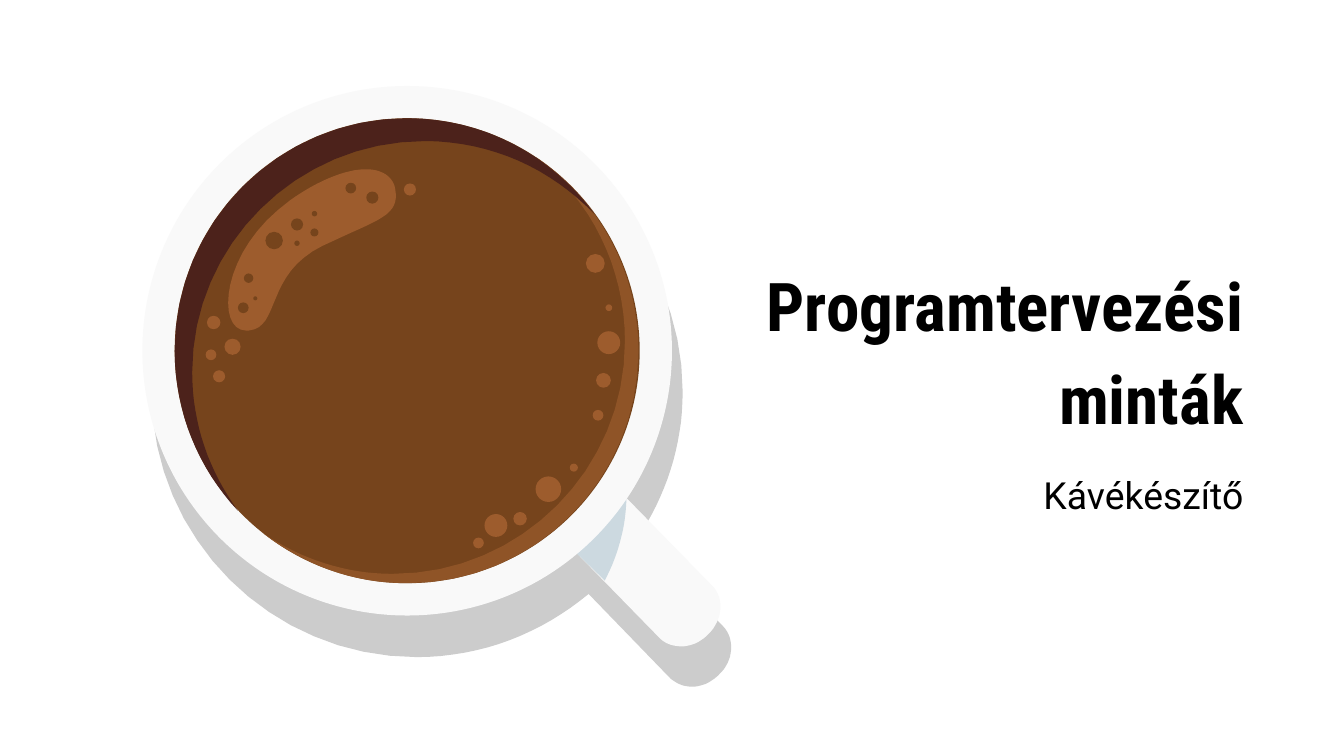
from pptx import Presentation
from pptx.dml.color import RGBColor
from pptx.enum.shapes import MSO_SHAPE
from pptx.enum.text import PP_ALIGN
from pptx.util import Inches, Pt

SHADE, CHINA, BLUE = "CCCCCC", "F9F9F9", "CCD9E0"
COFFEE, RIM, DARK, FOAM = "76441C", "8F5427", "4C221B", "9D5C2D"
STEPS = 16    # straight pieces per curve
UNITS = 1000  # outline units per inch

# Outlines: a start point, then lines (x, y) and Bezier curves (six numbers)
SHADOW = [(3.1, 0.95), (2.02, 0.95, 1.13, 1.83, 1.13, 2.92),
          (1.13, 4.01, 2.02, 4.89, 3.1, 4.89), (3.59, 4.89, 4.03, 4.71, 4.38, 4.42),
          (4.99, 5.05), (5.04, 5.09, 5.09, 5.11, 5.15, 5.11),
          (5.22, 5.11, 5.29, 5.08, 5.35, 5.02), (5.46, 4.92, 5.47, 4.75, 5.38, 4.66),
          (4.74, 4.01), (4.95, 3.7, 5.08, 3.32, 5.08, 2.92),
          (5.08, 1.83, 4.19, 0.95, 3.1, 0.95)]
HANDLE = [(4.31, 3.45), (4.24, 3.45, 4.17, 3.48, 4.11, 3.54),
          (4, 3.65, 3.99, 3.81, 4.08, 3.9), (4.91, 4.75),
          (4.95, 4.79, 5.01, 4.81, 5.07, 4.81), (5.14, 4.81, 5.21, 4.78, 5.27, 4.72),
          (5.38, 4.61, 5.39, 4.45, 5.3, 4.36), (4.47, 3.51),
          (4.43, 3.47, 4.37, 3.45, 4.31, 3.45)]
JOINT = [(4.38, 3.51), (4.31, 3.51, 4.23, 3.54, 4.17, 3.6),
         (4.06, 3.71, 4.05, 3.87, 4.14, 3.97), (4.5, 4.32),
         (4.67, 4, 4.66, 3.71, 4.66, 3.71), (4.4, 3.51),
         (4.39, 3.51, 4.38, 3.51, 4.38, 3.51)]
LIGHT = [(3.99, 1.17), (4.39, 1.49, 4.65, 1.98, 4.65, 2.54),
         (4.65, 3.49, 3.88, 4.27, 2.92, 4.27), (2.57, 4.27, 2.24, 4.16, 1.96, 3.97),
         (2.26, 4.2, 2.62, 4.34, 3.03, 4.34), (3.98, 4.34, 4.75, 3.57, 4.75, 2.61),
         (4.75, 2.01, 4.45, 1.49, 3.99, 1.17)]
INNER = [(3.03, 0.88), (2.07, 0.88, 1.3, 1.66, 1.3, 2.61),
         (1.3, 3.07, 1.48, 3.49, 1.77, 3.8), (1.56, 3.51, 1.43, 3.16, 1.43, 2.77),
         (1.43, 1.82, 2.21, 1.05, 3.16, 1.05), (3.66, 1.05, 4.1, 1.26, 4.42, 1.59),
         (4.11, 1.16, 3.6, 0.88, 3.03, 0.88)]
FROTH = [(2.72, 1.26), (2.58, 1.26, 2.37, 1.34, 2.16, 1.49),
         (1.63, 1.87, 1.61, 2.46, 1.83, 2.46), (1.84, 2.46, 1.84, 2.46, 1.85, 2.46),
         (2.09, 2.44, 1.97, 2.04, 2.4, 1.83), (2.82, 1.63, 2.98, 1.61, 2.94, 1.4),
         (2.92, 1.31, 2.84, 1.26, 2.72, 1.26)]

# Bubbles: centre x, centre y, diameter
LEFT = [(3.05, 1.41, 0.09), (1.59, 2.4, 0.1), (1.57, 2.64, 0.08),
        (1.73, 2.58, 0.12), (1.63, 2.8, 0.09)]
HOLES = [(2.61, 1.4, 0.08), (1.81, 2.29, 0.08), (1.9, 2.22, 0.03), (1.85, 2.07, 0.07),
         (2.04, 1.79, 0.13), (2.77, 1.47, 0.09), (2.21, 1.81, 0.04),
         (2.21, 1.67, 0.09), (2.34, 1.73, 0.06), (2.34, 1.59, 0.04)]
RIGHT = [(3.56, 4.04, 0.08), (3.69, 3.91, 0.17), (3.87, 3.86, 0.1), (4.08, 3.64, 0.19),
         (4.27, 3.48, 0.06), (4.45, 3.09, 0.08), (4.49, 2.83, 0.11),
         (4.53, 2.55, 0.17), (4.53, 2.29, 0.05), (4.43, 1.96, 0.14)]


def color(code):
    return RGBColor.from_string(code)


def paint(shape, code):
    shape.shadow.inherit = False
    shape.fill.solid()
    shape.fill.fore_color.rgb = color(code)
    shape.line.fill.background()


def trace(path):
    """Turn lines and curves into a list of points."""
    points = [path[0]]
    for part in path[1:]:
        if len(part) == 2:
            points.append(part)
            continue
        a, b, c, d = points[-1], part[:2], part[2:4], part[4:]
        for step in range(1, STEPS + 1):
            t = step / STEPS
            u = 1 - t
            points.append(tuple(
                u**3 * a[i] + 3 * u * u * t * b[i] + 3 * u * t * t * c[i] + t**3 * d[i]
                for i in (0, 1)))
    return points


def add_form(slide, path, code):
    points = [(x * UNITS, y * UNITS) for x, y in trace(path)]
    build = slide.shapes.build_freeform(*points[0], scale=Inches(1) / UNITS)
    build.add_line_segments(points[1:], close=True)
    paint(build.convert_to_shape(), code)


def add_disc(slide, x, y, size, code):
    edge = Inches(size)
    disc = slide.shapes.add_shape(
        MSO_SHAPE.OVAL, Inches(x - size / 2), Inches(y - size / 2), edge, edge)
    paint(disc, code)


def add_text(slide, box, text, font, size, bold=False):
    frame = slide.shapes.add_textbox(*map(Inches, box)).text_frame
    frame.word_wrap = True
    frame.margin_left = frame.margin_right = Inches(0.1)
    frame.margin_top = frame.margin_bottom = Inches(0.1)
    para = frame.paragraphs[0]
    para.text = text
    para.alignment = PP_ALIGN.RIGHT
    para.line_spacing = 1.15
    para.space_after = Pt(16)
    para.font.name = font
    para.font.size = Pt(size)
    para.font.bold = bold
    para.font.color.rgb = color("000000")


def main():
    # Wide slide, 16 to 9
    deck = Presentation()
    deck.slide_width = Inches(10)
    deck.slide_height = Inches(10 * 9 / 16)
    slide = deck.slides.add_slide(deck.slide_layouts[6])

    # Title and subtitle
    add_text(slide, (5.31, 1.78, 4.04, 1.66), "Programtervezési minták",
             "Roboto Condensed", 36, bold=True)
    add_text(slide, (6.74, 3.36, 2.61, 0.97), "Kávékészítő", "Roboto", 20)

    # Cup with its shadow and handle
    for path, code in ((SHADOW, SHADE), (HANDLE, CHINA), (JOINT, BLUE)):
        add_form(slide, path, code)
    for size, code in ((3.94, CHINA), (3.46, COFFEE)):
        add_disc(slide, 3.03, 2.61, size, code)

    # Coffee surface
    for path, code in ((LIGHT, RIM), (INNER, DARK), (FROTH, FOAM)):
        add_form(slide, path, code)

    # Bubbles
    for group, code in ((LEFT, FOAM), (HOLES, COFFEE), (RIGHT, FOAM)):
        for x, y, size in group:
            add_disc(slide, x, y, size, code)

    deck.save("out.pptx")


if __name__ == "__main__":
    main()
